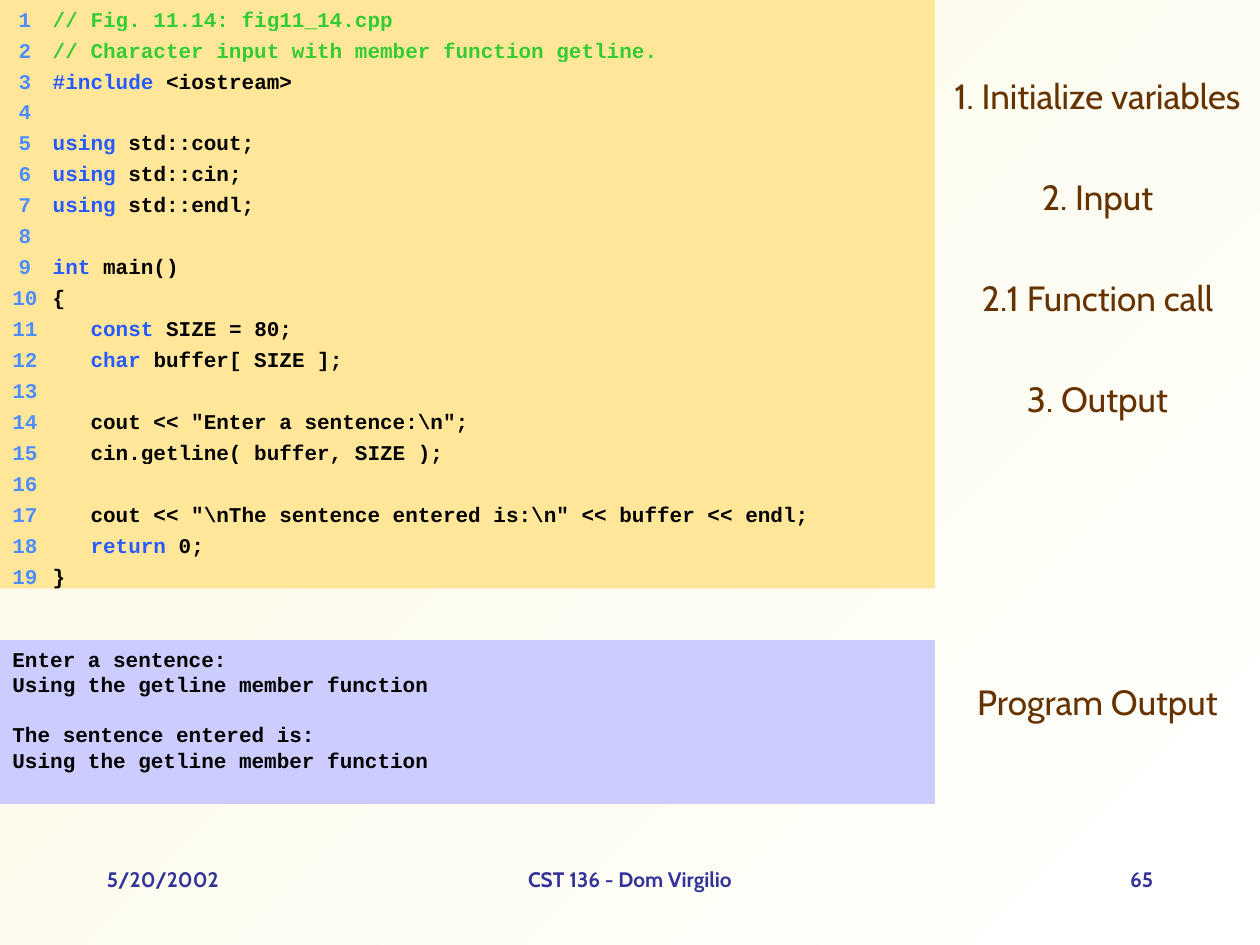
from lxml import etree
from pptx import Presentation
from pptx.dml.color import RGBColor
from pptx.enum import shapes, text
from pptx.oxml import ns
from pptx.util import Inches, Pt

WHITE = RGBColor(0xFF, 0xFF, 0xFF)
CREAM = RGBColor(0xFB, 0xF8, 0xE1)
SAND = RGBColor(0xFF, 0xE6, 0x99)
LAVENDER = RGBColor(0xCC, 0xCC, 0xFF)
BROWN = RGBColor(0x66, 0x33, 0x00)
NAVY = RGBColor(0x33, 0x33, 0x99)
NUMBER_BLUE = RGBColor(0x4D, 0x8D, 0xFF)
KEYWORD_BLUE = RGBColor(0x27, 0x5A, 0xFF)
COMMENT_GREEN = RGBColor(0x33, 0xCC, 0x33)
BLACK = RGBColor(0, 0, 0)

CODE_FONT = "Courier New"
BODY_FONT = "Cabin"
KEYWORDS = {"#include", "using", "int", "const", "char", "return"}

CODE = r"""// Fig. 11.14: fig11_14.cpp
// Character input with member function getline.
#include <iostream>

using std::cout;
using std::cin;
using std::endl;

int main()
{
   const SIZE = 80;
   char buffer[ SIZE ];

   cout << "Enter a sentence:\n";
   cin.getline( buffer, SIZE );

   cout << "\nThe sentence entered is:\n" << buffer << endl;
   return 0;
}""".splitlines()

OUTLINE = [
    ("1. Initialize variables", 0),
    ("2. Input", 33.7),
    ("2.1 Function call", 33.7),
    ("3. Output", 33.7),
    ("Program Output", 149),
]
OUTPUT = [
    ("Enter a sentence:", 0),
    ("Using the getline member function", 0),
    ("The sentence entered is:", 14.4),
    ("Using the getline member function", 0),
]


def write_text(paragraph, content, *, font=CODE_FONT, size=12, color=BLACK, bold=True):
    """Append a formatted run to a paragraph."""
    run = paragraph.add_run()
    run.text = content
    run.font.name = font
    run.font.size = Pt(size)
    run.font.bold = bold
    run.font.color.rgb = color


def prepare_frame(shape):
    """Wrap the text of a shape and anchor it at the top."""
    frame = shape.text_frame
    frame.word_wrap = True
    frame.vertical_anchor = text.MSO_ANCHOR.TOP
    return frame


def write_lines(frame, lines, *, alignment, line_spacing=None, **formatting):
    """Write (text, points before) pairs as the paragraphs of a frame."""
    for index, (content, before) in enumerate(lines):
        paragraph = frame.paragraphs[0] if index == 0 else frame.add_paragraph()
        paragraph.alignment = alignment
        paragraph.space_before = Pt(before)
        if line_spacing:
            paragraph.line_spacing = Pt(line_spacing)
        write_text(paragraph, content, **formatting)


def add_panel(parent, box, color):
    """Add a plain filled rectangle and return its text frame."""
    panel = parent.shapes.add_shape(shapes.MSO_SHAPE.RECTANGLE, *map(Inches, box))
    panel.shadow.inherit = False
    panel.fill.solid()
    panel.fill.fore_color.rgb = color
    panel.line.fill.background()
    return prepare_frame(panel)


def add_tabs(paragraph, stops):
    """Give a paragraph tab stops from (inches, alignment) pairs."""
    tab_list = etree.SubElement(paragraph._p.get_or_add_pPr(), ns.qn("a:tabLst"))
    for position, alignment in stops:
        etree.SubElement(tab_list, ns.qn("a:tab"), pos=str(Inches(position)), algn=alignment)


def write_code(paragraph, code):
    """Write one line of code with its comment or keyword coloured."""
    body = code.lstrip()
    word = body.split(" ")[0]
    if body.startswith("//"):
        write_text(paragraph, code, color=COMMENT_GREEN)
    elif word in KEYWORDS:
        indent = code[:len(code) - len(body)]
        write_text(paragraph, indent + word, color=KEYWORD_BLUE)
        write_text(paragraph, body[len(word):])
    elif code:
        write_text(paragraph, code)


def add_listing(slide, box):
    """Stack one numbered bar per code line within the box."""
    left, top, width, height = box
    bar_height = 0.25
    step = (height - bar_height) / (len(CODE) - 1)
    group = slide.shapes.add_group_shape()
    for index, code in enumerate(CODE):
        frame = add_panel(group, (left, top + index * step, width, bar_height), SAND)
        paragraph = frame.paragraphs[0]
        paragraph.alignment = text.PP_ALIGN.LEFT
        add_tabs(paragraph, [(0.15, "r"), (0.32, "l")])
        write_text(paragraph, f"\t{index + 1}\t", color=NUMBER_BLUE)
        write_code(paragraph, code)


def add_output(slide, box):
    """Add the panel with the program output."""
    frame = add_panel(slide, box, LAVENDER)
    write_lines(frame, OUTPUT, alignment=text.PP_ALIGN.LEFT, line_spacing=14.4)


def add_outline(slide, box):
    """Add the column of step names beside the listing."""
    frame = prepare_frame(slide.shapes.add_textbox(*map(Inches, box)))
    frame.margin_top = Inches(0.59)
    write_lines(frame, OUTLINE, alignment=text.PP_ALIGN.CENTER,
                font=BODY_FONT, size=20, color=BROWN, bold=False)


def add_footer(slide, box):
    """Add the date, course and page number within the box."""
    left, top, width, height = box
    side, middle = 2.08, 3.17
    align = text.PP_ALIGN
    parts = [
        ("5/20/2002", left, side, align.LEFT),
        ("CST 136 - Dom Virgilio", left + (width - middle) / 2, middle, align.CENTER),
        ("65", left + width - side, side, align.RIGHT),
    ]
    for content, part_left, part_width, alignment in parts:
        part_box = map(Inches, (part_left, top, part_width, height))
        frame = prepare_frame(slide.shapes.add_textbox(*part_box))
        write_lines(frame, [(content, 0)], alignment=alignment, font=BODY_FONT, color=NAVY)


def paint_background(slide):
    """Fill the background with a diagonal gradient."""
    fill = slide.background.fill
    fill.gradient()
    fill.gradient_angle = 135
    for stop, color in zip(fill.gradient_stops, (WHITE, CREAM)):
        stop.color.rgb = color


def main():
    """Build and save the slide."""
    presentation = Presentation()
    presentation.slide_width = Inches(10)
    presentation.slide_height = Inches(7.5)
    slide = presentation.slides.add_slide(presentation.slide_layouts[6])
    paint_background(slide)
    add_outline(slide, (7.42, 0, 2.58, 6.67))
    add_listing(slide, (0, 0, 7.42, 4.67))
    add_output(slide, (0, 5.08, 7.42, 1.3))
    add_footer(slide, (0.75, 6.83, 8.5, 0.5))
    presentation.save("out.pptx")


if __name__ == "__main__":
    main()
